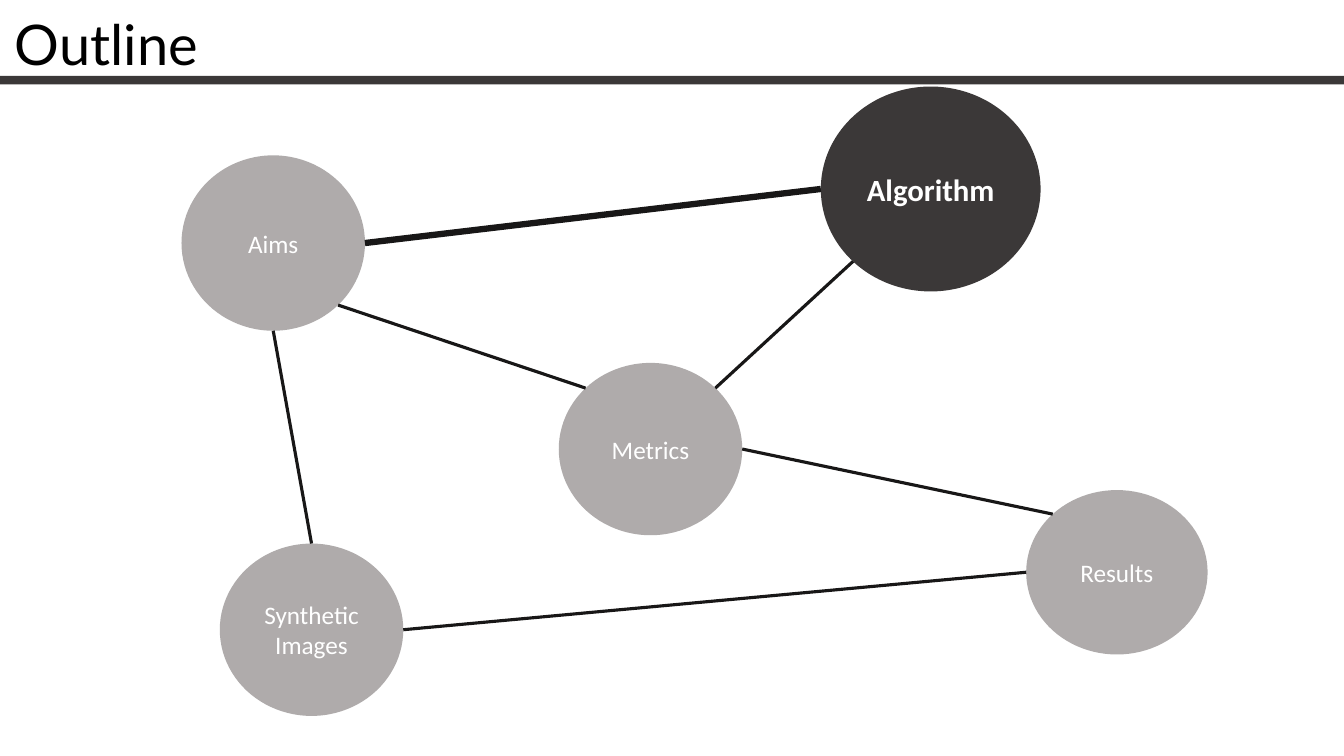
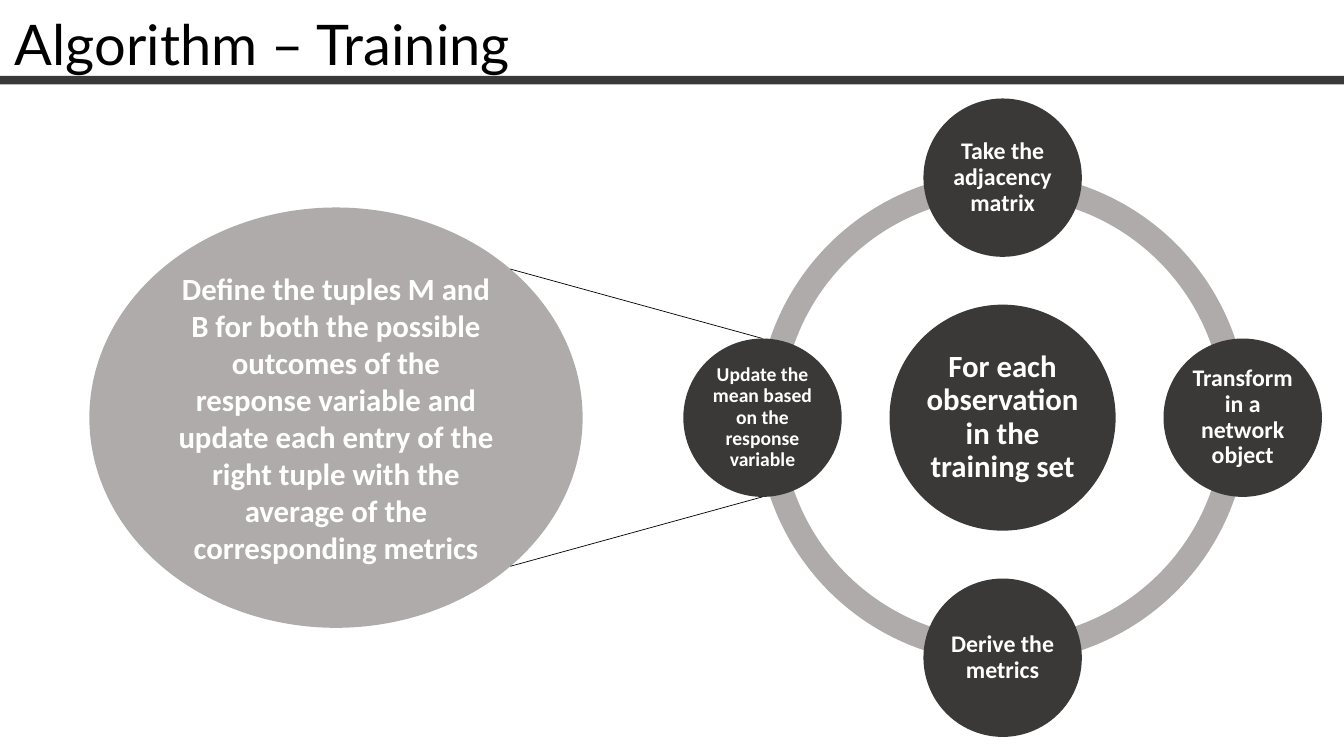
from dataclasses import dataclass
from math import cos, radians, sin

from lxml import etree
from pptx import Presentation
from pptx import util as u
from pptx.dml.color import RGBColor
from pptx.enum import shapes, text
from pptx.oxml.ns import qn

KIND = shapes.MSO_SHAPE


@dataclass(frozen=True)
class Theme:
    dark: str = "3B3838"
    grey: str = "AFABAB"
    edge: str = "181717"
    ink: str = "000000"
    white: str = "FFFFFF"
    head: str = "Lato"
    body: str = "Calibri"
    title: int = 40
    large: int = 22
    mid: int = 18
    node: int = 17
    small: int = 14


@dataclass(frozen=True)
class Disc:
    """An oval by its centre and size, in percent of the slide."""
    label: str
    x: float
    y: float
    wide: float
    high: float
    fill: str
    size: int
    bold: bool = False
    inset: float = 0.1
    gap: float = 1.0
    kind: KIND = KIND.OVAL

    def site(self, spot: int) -> tuple[float, float]:
        """Connection site: 0 is the top, then every 45 degrees anticlockwise."""
        turn = radians(45 * spot)
        return (self.x - self.wide / 2 * sin(turn),
                self.y - self.high / 2 * cos(turn))


@dataclass(frozen=True)
class Link:
    start: str
    out: int
    end: str
    into: int
    width: float = 2.25
    color: str = Theme.edge


T = Theme()
WIDE, HIGH = u.Inches(13.33), u.Inches(7.5)
RATIO = HIGH / WIDE


def across(share: float) -> int:
    return round(WIDE * share / 100)


def down(share: float) -> int:
    return round(HIGH * share / 100)


def write(frame, words: str, *, size: int, font: str = T.body,
          color: str = T.white, bold: bool = False, gap: float = 1.0,
          align=text.PP_ALIGN.CENTER) -> None:
    para = frame.paragraphs[0]
    para.text = words
    para.alignment = align
    para.line_spacing = gap
    face = para.font
    face.name, face.size, face.bold = font, u.Pt(size), bold
    face.color.rgb = RGBColor.from_string(color)


def form(slide, kind, x: float, y: float, wide: float, high: float, fill: str):
    """Add a flat shape, its corner and size in percent of the slide."""
    shape = slide.shapes.add_shape(kind, across(x), down(y), across(wide), down(high))
    shape.shadow.inherit = False
    shape.fill.solid()
    shape.fill.fore_color.rgb = RGBColor.from_string(fill)
    shape.line.fill.background()
    return shape


def disc(slide, d: Disc):
    shape = form(slide, d.kind, d.x - d.wide / 2, d.y - d.high / 2,
                 d.wide, d.high, d.fill)
    frame = shape.text_frame
    frame.word_wrap = True
    frame.vertical_anchor = text.MSO_ANCHOR.MIDDLE
    frame.margin_left = frame.margin_right = u.Inches(d.inset)
    frame.margin_top = frame.margin_bottom = u.Inches(d.inset / 2)
    write(frame, d.label, size=d.size, bold=d.bold, gap=d.gap)
    return shape


def graph(slide, discs: list[Disc], links: list[Link]) -> None:
    """Draw the discs and the lines glued to their connection sites."""
    spots = {d.label: (d, disc(slide, d)) for d in discs}
    for link in links:
        (first, tail), (last, tip) = spots[link.start], spots[link.end]
        x1, y1 = first.site(link.out)
        x2, y2 = last.site(link.into)
        line = slide.shapes.add_connector(
            shapes.MSO_CONNECTOR.STRAIGHT,
            across(x1), down(y1), across(x2), down(y2))
        line.line.width = u.Pt(link.width)
        line.line.color.rgb = RGBColor.from_string(link.color)
        root = line._element
        etree.SubElement(root.spPr, qn("a:effectLst"))
        glue = root.find(".//" + qn("p:cNvCxnSpPr"))
        for tag, shape, spot in (("a:stCxn", tail, link.out),
                                 ("a:endCxn", tip, link.into)):
            etree.SubElement(glue, qn(tag), id=str(shape.shape_id), idx=str(spot))


def header(slide, words: str, wide: float) -> None:
    form(slide, KIND.RECTANGLE, 0, 10.05, 100, 1.13, T.dark)
    box = slide.shapes.add_textbox(across(0.37), down(0.67), across(wide), down(10.3))
    frame = box.text_frame
    frame.word_wrap = False
    frame.auto_size = text.MSO_AUTO_SIZE.SHAPE_TO_FIT_TEXT
    write(frame, words, size=T.title, font=T.head, color=T.ink,
          align=text.PP_ALIGN.LEFT)


def outline(slide) -> None:
    def topic(label: str, x: float, y: float, wide: float = 13.65,
              high: float = 22.8, fill: str = T.grey, size: int = T.mid,
              bold: bool = False) -> Disc:
        return Disc(label, x, y, wide, high, fill, size, bold,
                    kind=KIND.FLOWCHART_CONNECTOR)

    aims, goal, score = "Aims", "Algorithm", "Metrics"
    data, final = "Synthetic Images", "Results"
    header(slide, "Outline", 16)
    graph(slide, [
        topic(aims, 20.33, 32.15, high=23.2),
        topic(score, 48.4, 59.4),
        topic(goal, 69.25, 25, 16.35, 27.1, T.dark, T.large, True),
        topic(data, 23.18, 83.3),
        topic(final, 83.1, 75.7, 13.5, 21.75),
    ], [
        Link(aims, 5, score, 1),
        Link(aims, 4, data, 0),
        Link(goal, 2, aims, 6, width=4.5),
        Link(final, 2, data, 6),
        Link(final, 1, score, 6),
        Link(goal, 3, score, 7),
    ])


def training(slide) -> None:
    hub_x, hub_y, orbit, ring = 74.6, 55.25, 31.75, 64.95

    def round_disc(label: str, x: float, y: float, high: float,
                   size: int, inset: float = 0.02) -> Disc:
        return Disc(label, x, y, high * RATIO, high, T.dark, size, True, inset, 0.9)

    band = form(slide, KIND.DONUT, hub_x - ring * RATIO / 2, hub_y - ring / 2,
                ring * RATIO, ring, T.grey)
    band.adjustments[0] = 0.05

    update = "Update the mean based on the response variable"
    detail = ("Define the tuples M and B for both the possible outcomes of the "
              "response variable and update each entry of the right tuple with "
              "the average of the corresponding metrics")
    steps = [("Take the adjacency matrix", T.node),
             ("Transform in a network object", T.node),
             ("Derive the metrics", T.node),
             (update, T.small)]
    discs = [round_disc("For each observation in the training set",
                        hub_x, hub_y, 29.9, T.large, 0.03)]
    for i, (label, size) in enumerate(steps):
        turn = radians(i * 360 / len(steps))
        discs.append(round_disc(label, hub_x + orbit * RATIO * sin(turn),
                                hub_y - orbit * cos(turn), 20.95, size))
    discs.append(Disc(detail, 25, hub_y, 36.7, 55.6, T.grey, T.large, True))
    graph(slide, discs, [
        Link(detail, 7, update, 0, 0.5, T.ink),
        Link(detail, 5, update, 4, 0.5, T.ink),
    ])
    header(slide, "Algorithm – Training", 42.2)


def main() -> None:
    deck = Presentation()
    deck.slide_width, deck.slide_height = WIDE, HIGH
    blank = deck.slide_layouts[6]
    for draw in (outline, training):
        draw(deck.slides.add_slide(blank))
    deck.save("out.pptx")


if __name__ == "__main__":
    main()
